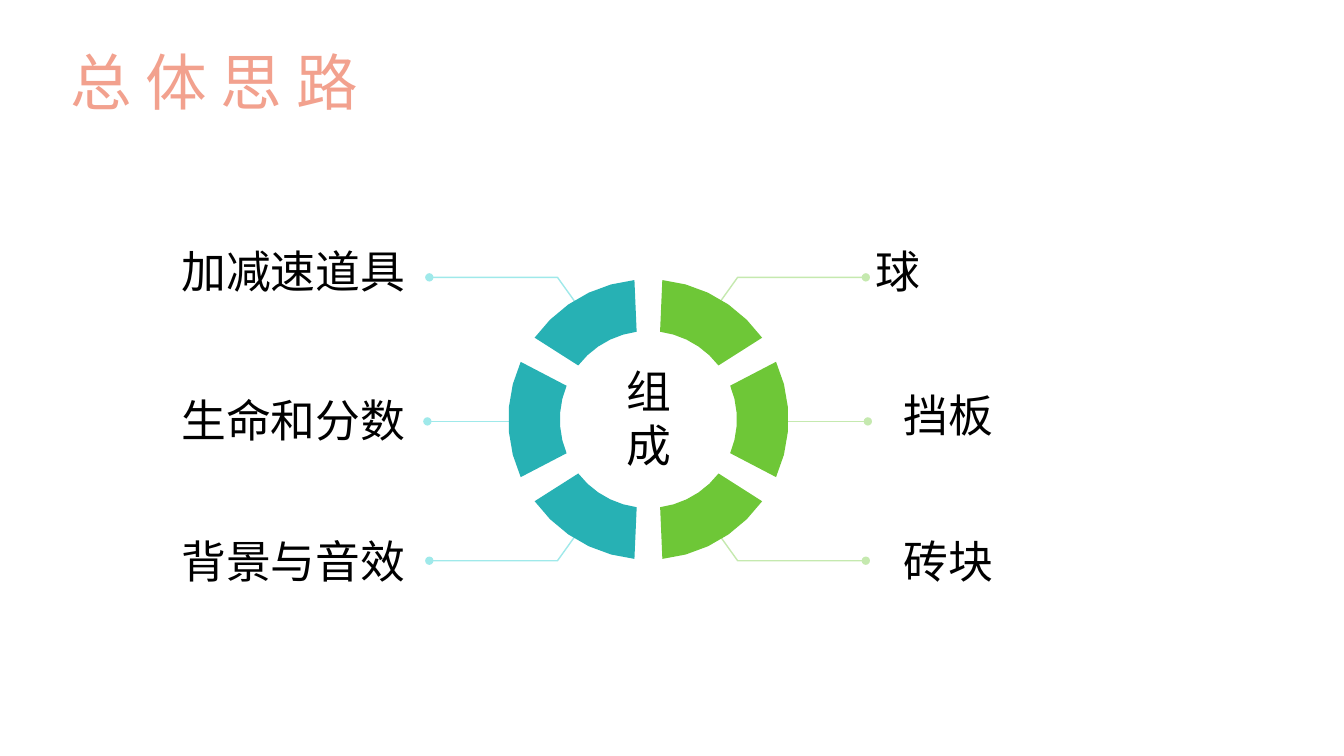
from dataclasses import dataclass
from math import cos, radians, sin

from lxml import etree
from pptx import Presentation
from pptx import util as u
from pptx.dml.color import RGBColor
from pptx.enum import shapes, text
from pptx.oxml import ns


@dataclass(frozen=True)
class Theme:
    font: str = "Calibri"
    title_color: str = "F2A18E"
    text_color: str = "000000"
    teal: str = "27B1B4"
    green: str = "6EC737"
    teal_line: str = "9FE9EA"
    green_line: str = "C5E9AF"
    title_size: int = 44
    label_size: int = 32


THEME = Theme()


@dataclass(frozen=True)
class Label:
    words: str
    left: float
    top: float
    width: float
    height: float = 1.7
    align: text.PP_ALIGN = text.PP_ALIGN.LEFT
    anchor: text.MSO_ANCHOR = text.MSO_ANCHOR.TOP
    fit: text.MSO_AUTO_SIZE = text.MSO_AUTO_SIZE.NONE
    inset: tuple[float, float] = (0, 0)  # sides, top and bottom
    size: int = THEME.label_size
    color: str = THEME.text_color


@dataclass(frozen=True)
class Callout:
    side: int  # -1 left, 1 right
    level: int  # -1 above, 0 middle, 1 below
    color: str


RING_X, RING_Y = 16.34, 10.57
LEADER_X, LEADER_Y, MIDDLE_Y = 16.32, 10.56, 10.62
OUTER_RADIUS, INNER_RADIUS = 3.53, 2.23
OUTER_ANGLE, INNER_ANGLE = 24.3, 22.4  # half the spread of a segment
ARC_STEPS = 5

RIGHT = text.PP_ALIGN.RIGHT
LABELS = [
    Label("球", 22.07, 6.15, 7.06),
    Label("挡板", 22.77, 9.78, 6.86),
    Label("砖块", 22.77, 13.46, 6.86),
    Label("加减速道具", 3.36, 6.15, 6.86, align=RIGHT),
    Label("生命和分数", 3.64, 9.89, 6.58, align=RIGHT),
    Label("背景与音效", 3.36, 13.46, 6.86, align=RIGHT),
    Label("总 体 思 路", 1.52, 0.72, 25.22, 2.62, anchor=text.MSO_ANCHOR.MIDDLE,
          inset=(0.25, 0.13), size=THEME.title_size, color=THEME.title_color),
    Label("组成", 15.54, 9.04, 1.57, 3, fit=text.MSO_AUTO_SIZE.SHAPE_TO_FIT_TEXT,
          inset=(0.25, 0.13)),
]
CALLOUTS = [
    Callout(side, level, color)
    for side, color in ((-1, THEME.teal_line), (1, THEME.green_line))
    for level in (-1, 0, 1)
]


def set_values(target: object, values: dict) -> None:
    for name, value in values.items():
        setattr(target, name, value)


def draw_outline(slide, points: list[tuple[float, float]], close: bool):
    corners = [(u.Cm(x), u.Cm(y)) for x, y in points]
    builder = slide.shapes.build_freeform(*corners[0])
    builder.add_line_segments(corners[1:], close=close)
    shape = builder.convert_to_shape()
    shape.shadow.inherit = False
    return shape


def style_line(shape, color: str, width: float) -> None:
    shape.line.color.rgb = RGBColor.from_string(color)
    shape.line.width = u.Pt(width)
    etree.SubElement(shape.line._get_or_add_ln(), ns.qn("a:tailEnd"), type="oval")


def draw_callout(slide, callout: Callout) -> None:
    if callout.level == 0:
        start, end = (u.Cm(LEADER_X + callout.side * reach) for reach in (3.09, 5.55))
        height = u.Cm(MIDDLE_Y)
        line = slide.shapes.add_connector(
            shapes.MSO_CONNECTOR.STRAIGHT, start, height, end, height)
        style_line(line, callout.color, 0.5)
        etree.SubElement(line._element.spPr, ns.qn("a:effectLst"))
        return
    bends = ((1.79, 2.9), (2.27, 3.57), (5.5, 3.57))
    points = [(LEADER_X + callout.side * x, LEADER_Y + callout.level * y) for x, y in bends]
    shape = draw_outline(slide, points, close=False)
    shape.fill.background()
    style_line(shape, callout.color, 1)


def arc(radius: float, start: float, end: float) -> list[tuple[float, float]]:
    """Points around the ring center, with angles clockwise from the top."""
    angles = [radians(start + (end - start) * step / ARC_STEPS)
              for step in range(ARC_STEPS + 1)]
    return [(RING_X + radius * sin(a), RING_Y - radius * cos(a)) for a in angles]


def draw_segment(slide, angle: int, color: str) -> None:
    points = (arc(OUTER_RADIUS, -OUTER_ANGLE, OUTER_ANGLE)
              + arc(INNER_RADIUS, INNER_ANGLE, -INNER_ANGLE))
    shape = draw_outline(slide, points, close=True)
    shape.fill.solid()
    shape.fill.fore_color.rgb = RGBColor.from_string(color)
    shape.line.fill.background()
    # Turn the top segment around the ring center
    distance = u.Cm(RING_Y) - shape.top - shape.height / 2
    turn = radians(angle)
    set_values(shape, {
        "left": int(u.Cm(RING_X) + distance * sin(turn) - shape.width / 2),
        "top": int(u.Cm(RING_Y) - distance * cos(turn) - shape.height / 2),
        "rotation": angle,
    })


def draw_label(slide, label: Label) -> None:
    box = slide.shapes.add_textbox(
        *(u.Cm(length) for length in (label.left, label.top, label.width, label.height)))
    sides, ends = (u.Cm(length) for length in label.inset)
    frame = box.text_frame
    set_values(frame, {
        "word_wrap": True, "auto_size": label.fit, "vertical_anchor": label.anchor,
        "margin_left": sides, "margin_right": sides,
        "margin_top": ends, "margin_bottom": ends,
    })
    paragraph = frame.paragraphs[0]
    paragraph.alignment = label.align
    run = paragraph.add_run()
    run.text = label.words
    set_values(run.font, {"name": THEME.font, "size": u.Pt(label.size)})
    run.font.color.rgb = RGBColor.from_string(label.color)


def main() -> None:
    presentation = Presentation()
    set_values(presentation, {"slide_width": u.Cm(33.87), "slide_height": u.Cm(19.05)})
    slide = presentation.slides.add_slide(presentation.slide_layouts[6])

    # Leader lines
    for callout in CALLOUTS:
        draw_callout(slide, callout)
    # Ring of six segments
    for angle in range(30, 360, 60):
        draw_segment(slide, angle, THEME.green if angle < 180 else THEME.teal)
    # Title, center and side labels
    for label in LABELS:
        draw_label(slide, label)

    presentation.save("out.pptx")


if __name__ == "__main__":
    main()
